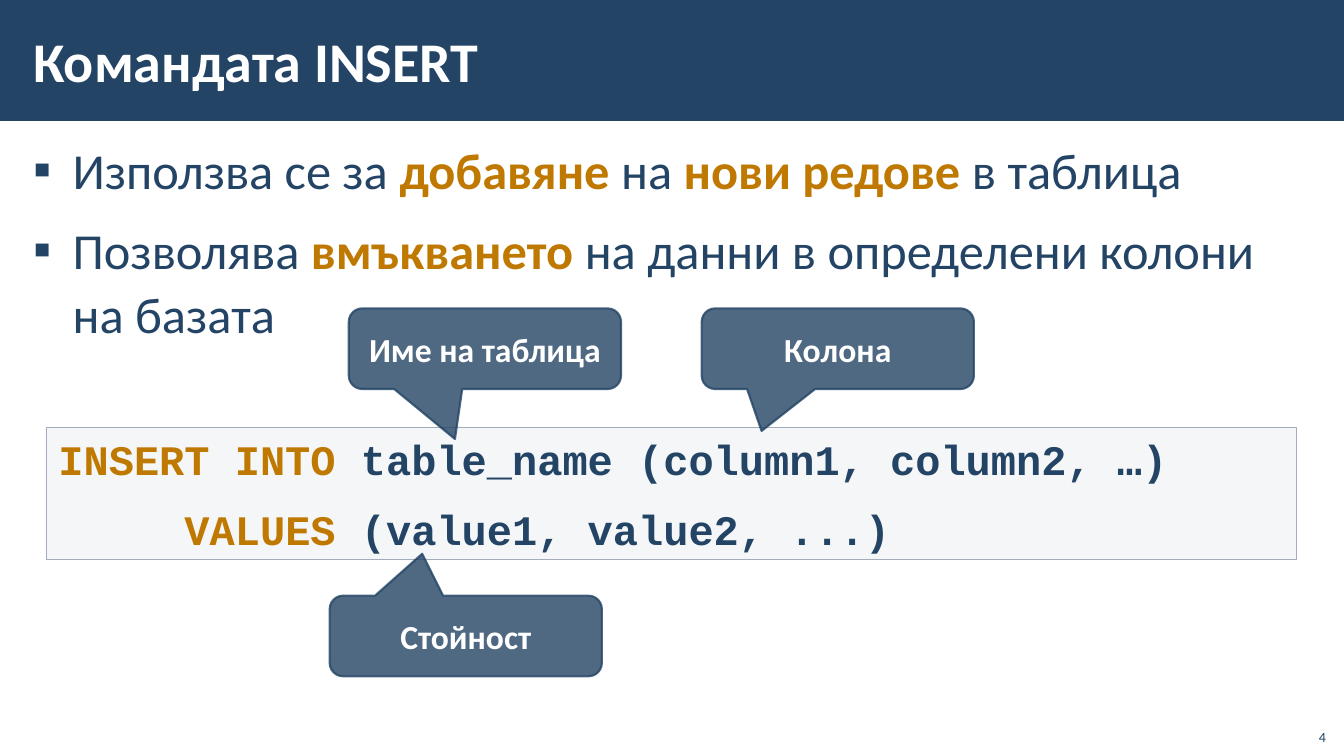
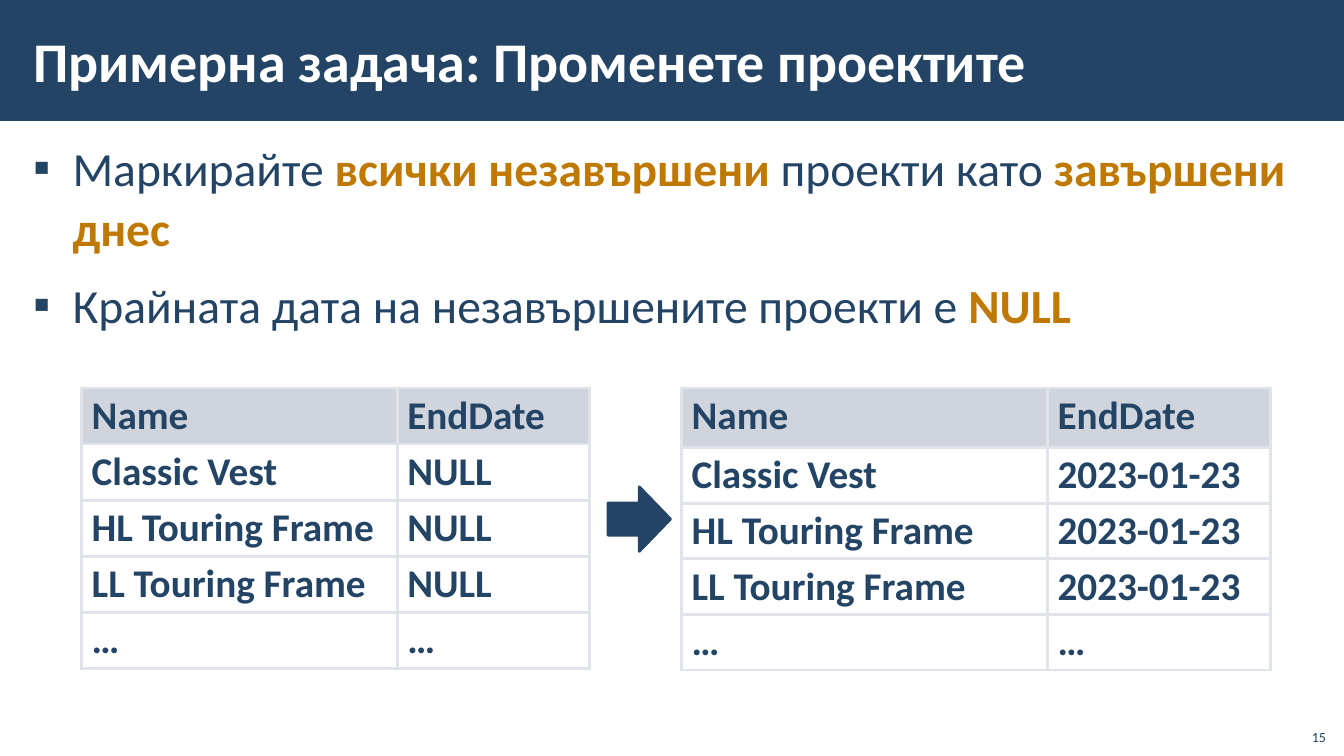
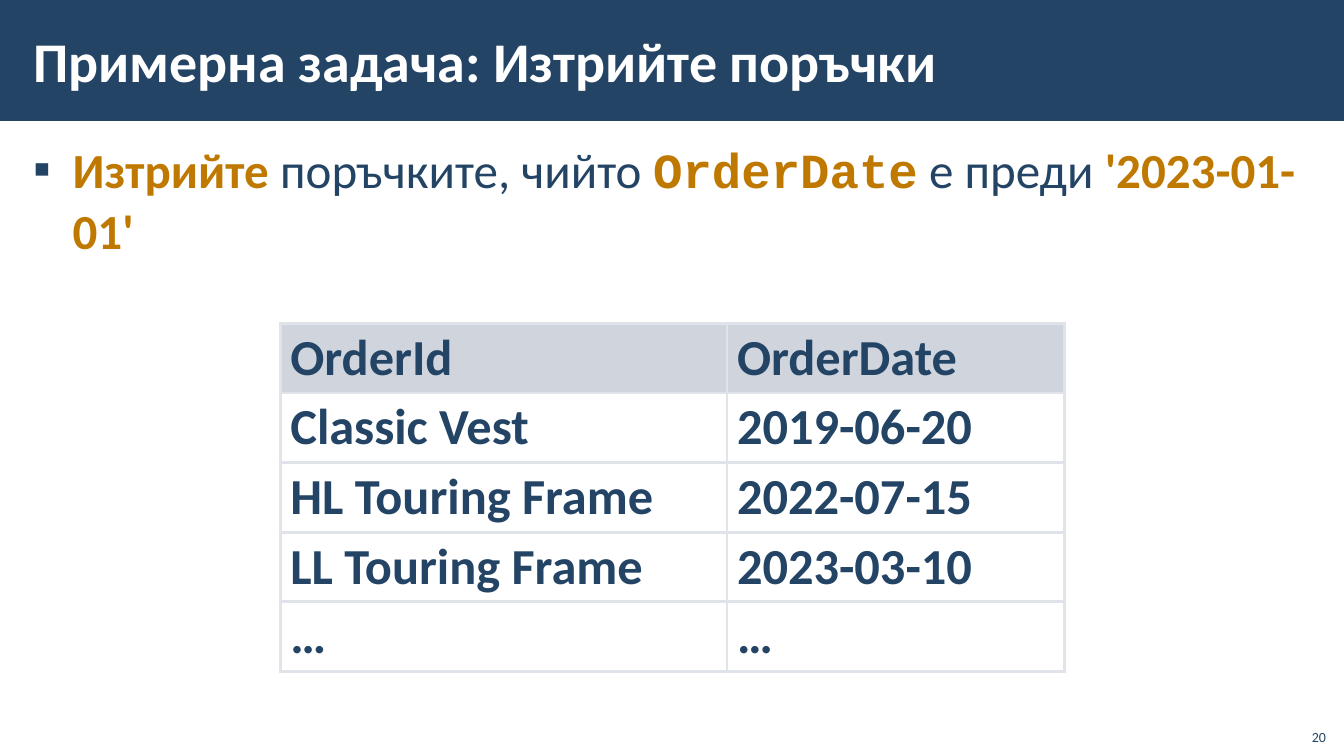
from dataclasses import dataclass
from pptx import Presentation
from pptx.dml.color import RGBColor
from pptx.enum.shapes import MSO_SHAPE
from pptx.enum.text import MSO_ANCHOR, MSO_AUTO_SIZE, PP_ALIGN
from pptx.oxml.ns import qn
from pptx.util import Inches, Pt
from lxml.etree import SubElement, Element


@dataclass(frozen=True)
class Theme:
    navy: str = "234465"
    gold: str = "BF7800"
    white: str = "FFFFFF"
    panel: str = "C2C7D2"
    gray: str = "A3ABBC"
    rule: str = "E0E3E9"
    sans: str = "Calibri"
    mono: str = "Courier New"
    title: int = 40
    code: int = 30
    label: int = 24
    page: int = 10


T = Theme()
WIDE, HIGH = 13.33, 7.5
BAND = (0, 0, WIDE, 1.2)
TITLE = (0.21, 0.11, 11.23, 0.97)
BODY = (0.21, 1.31, 12.92, 6.05)
PAGE = (12.85, 7.12, 0.4, 0.32)

# Run styles: colour, bold, font
PLAIN = (T.navy, False, T.sans)
KEY = (T.gold, True, T.sans)
BOLD = (T.navy, True, T.sans)
LIGHT = (T.white, True, T.sans)
CODE = (T.navy, True, T.mono)
WORD = (T.gold, True, T.mono)


def rgb(color):
    return RGBColor.from_string(color)


def inch(box):
    return [Inches(v) for v in box]


def fade(node, share):
    """Make every solid colour below the node partly transparent."""
    for color in node.iter(qn("a:srgbClr")):
        SubElement(color, qn("a:alpha"), val=str(share * 1000))


def write(par, runs, size):
    for text, (color, bold, face) in runs:
        run = par.add_run()
        run.text = text
        font = run.font
        font.size, font.bold, font.name = Pt(size), bold, face
        font.color.rgb = rgb(color)


def place(shape, box):
    shape.left, shape.top, shape.width, shape.height = inch(box)
    return shape


def frame(shape, anchor, pad=(0.12, 0.04)):
    text = shape.text_frame
    text.word_wrap = True
    text.auto_size = MSO_AUTO_SIZE.NONE
    text.vertical_anchor = anchor
    text.margin_left = text.margin_right = Inches(pad[0])
    text.margin_top = text.margin_bottom = Inches(pad[1])
    return text


def lines(text, rows, size):
    """Write spaced paragraphs and yield each one."""
    for i, runs in enumerate(rows):
        par = text.add_paragraph() if i else text.paragraphs[0]
        par.alignment = PP_ALIGN.LEFT
        par.line_spacing = 1.05
        par.space_before = par.space_after = Pt(6)
        write(par, runs, size)
        yield par


def indent(par, left, first=0):
    props = par._p.get_or_add_pPr()
    props.set("marL", str(Inches(left)))
    props.set("indent", str(Inches(first)))
    return props


def draw(slide, kind, box, fill, line=None, width=1):
    shape = slide.shapes.add_shape(kind, *inch(box))
    shape.shadow.inherit = False
    shape.fill.solid()
    shape.fill.fore_color.rgb = rgb(fill)
    if line:
        shape.line.color.rgb = rgb(line)
        shape.line.width = Pt(width)
    else:
        shape.line.fill.background()
    return shape


# Slide base: band, title, bullets and page number
def base(deck, title, rows, size, page):
    slide = deck.slides.add_slide(deck.slide_layouts[1])
    band = draw(slide, MSO_SHAPE.RECTANGLE, BAND, T.navy)
    slide.shapes.element.insert(2, band.element)

    head = place(slide.shapes.title, TITLE)
    par = frame(head, MSO_ANCHOR.MIDDLE).paragraphs[0]
    par.alignment = PP_ALIGN.LEFT
    write(par, [(title, LIGHT)], T.title)

    body = place(slide.placeholders[1], BODY)
    for par in lines(frame(body, MSO_ANCHOR.TOP), rows, size):
        props = indent(par, 0.39, -0.39)
        color = SubElement(props, qn("a:buClr"))
        SubElement(color, qn("a:srgbClr"), val=T.navy)
        SubElement(props, qn("a:buFont"), typeface=T.sans)
        SubElement(props, qn("a:buChar"), char="▪")

    foot = slide.shapes.add_textbox(*inch(PAGE))
    par = frame(foot, MSO_ANCHOR.BOTTOM, (0.1, 0.05)).paragraphs[0]
    par.alignment = PP_ALIGN.RIGHT
    write(par, [(str(page), PLAIN)], T.page)
    return slide


# Code panel
def panel(slide, box, rows, tabs):
    shape = draw(slide, MSO_SHAPE.RECTANGLE, box, T.panel)
    fade(shape.element.spPr, 15)
    shape.line.color.rgb = rgb(T.gray)
    shape.line.width = Pt(1)
    text = frame(shape, MSO_ANCHOR.TOP)
    text.auto_size = MSO_AUTO_SIZE.SHAPE_TO_FIT_TEXT
    for par, tab in zip(lines(text, rows, T.code), tabs):
        indent(par, tab)


# Speech bubble whose tip is given relative to its centre
def bubble(slide, left, top, label, tip):
    shape = draw(slide, MSO_SHAPE.ROUNDED_RECTANGULAR_CALLOUT,
                 (left, top, 2.7, 0.8), T.navy, T.navy, 1.5)
    fade(shape.element.spPr, 80)
    shape.adjustments[0], shape.adjustments[1] = tip
    par = frame(shape, MSO_ANCHOR.MIDDLE, (0.1, 0.05)).paragraphs[0]
    par.alignment = PP_ALIGN.CENTER
    write(par, [(label, LIGHT)], T.label)


def border(cell):
    props = cell._tc.get_or_add_tcPr()
    for i, side in enumerate("LRTB"):
        edge = Element(qn("a:ln" + side), w=str(Pt(2.25)))
        fill = SubElement(edge, qn("a:solidFill"))
        SubElement(fill, qn("a:srgbClr"), val=T.rule)
        props.insert(i, edge)


# Data table with a tinted head row
def grid(slide, left, top, cols, highs, rows, size):
    box = (left, top, sum(cols), sum(highs))
    table = slide.shapes.add_table(len(rows), len(cols), *inch(box)).table
    table.horz_banding = False
    for col, wide in zip(table.columns, cols):
        col.width = Inches(wide)
    for r, (row, high) in enumerate(zip(rows, highs)):
        table.rows[r].height = Inches(high)
        for c, value in enumerate(row):
            cell = table.cell(r, c)
            if r:
                cell.fill.background()
            else:
                cell.fill.solid()
                cell.fill.fore_color.rgb = rgb(T.gray)
                fade(cell._tc.tcPr, 50)
            border(cell)
            par = cell.text_frame.paragraphs[0]
            par.line_spacing = 0.95
            write(par, [(value, BOLD)], size)


ITEMS = ("Classic Vest", "HL Touring Frame", "LL Touring Frame", "…")


def pairs(heads, values):
    return [heads, *zip(ITEMS, (*values, "…"))]


def insert(deck):
    slide = base(deck, "Командата INSERT", [
        [("Използва се за ", PLAIN), ("добавяне ", KEY), ("на ", PLAIN),
         ("нови редове ", KEY), ("в таблица", PLAIN)],
        [("Позволява ", PLAIN), ("вмъкването ", KEY),
         ("на данни в определени колони на базата", PLAIN)],
    ], 36, 4)
    panel(slide, (0.46, 4.24, 12.4, 1.31), [
        [("INSERT INTO ", WORD), ("table_name (column1, column2, …)", CODE)],
        [("VALUES ", WORD), ("(value1, value2, ...)", CODE)],
    ], (0, 1.25))
    for left, top, label, tip in (
        (3.46, 3.06, "Име на таблица", (-0.11, 1.12)),
        (6.96, 3.06, "Колона", (-0.28, 1.02)),
        (3.27, 5.91, "Стойност", (-0.16, -1.02)),
    ):
        bubble(slide, left, top, label, tip)


def update(deck):
    slide = base(deck, "Примерна задача: Променете проектите", [
        [("Маркирайте ", PLAIN), ("всички незавършени ", KEY),
         ("проекти като ", PLAIN), ("завършени днес", KEY)],
        [("Крайната дата на незавършените проекти е ", PLAIN),
         ("NULL", KEY)],
    ], 34, 15)
    heads = ("Name", "EndDate")
    grid(slide, 0.81, 3.85, (3.13, 1.91), [2.78 / 5] * 5,
         pairs(heads, ["NULL"] * 3), 28)
    grid(slide, 6.76, 3.85, (3.63, 2.21), [0.59] + [0.53] * 4,
         pairs(heads, ["2023-01-23"] * 3), 28)
    draw(slide, MSO_SHAPE.RIGHT_ARROW, (6.03, 4.83, 0.62, 0.64),
         T.navy, T.navy, 2)


def delete(deck):
    slide = base(deck, "Примерна задача: Изтрийте поръчки", [
        [("Изтрийте", KEY), (" поръчките, чийто ", PLAIN),
         ("OrderDate", WORD), (" е преди ", PLAIN), ("'2023-01-01'", KEY)],
    ], 35, 20)
    grid(slide, 2.78, 3.21, (4.43, 3.35), [0.69] * 5,
         pairs(("OrderId", "OrderDate"),
               ("2019-06-20", "2022-07-15", "2023-03-10")), 36)


def main():
    deck = Presentation()
    deck.slide_width, deck.slide_height = Inches(WIDE), Inches(HIGH)
    for build in (insert, update, delete):
        build(deck)
    deck.save("out.pptx")


if __name__ == "__main__":
    main()
